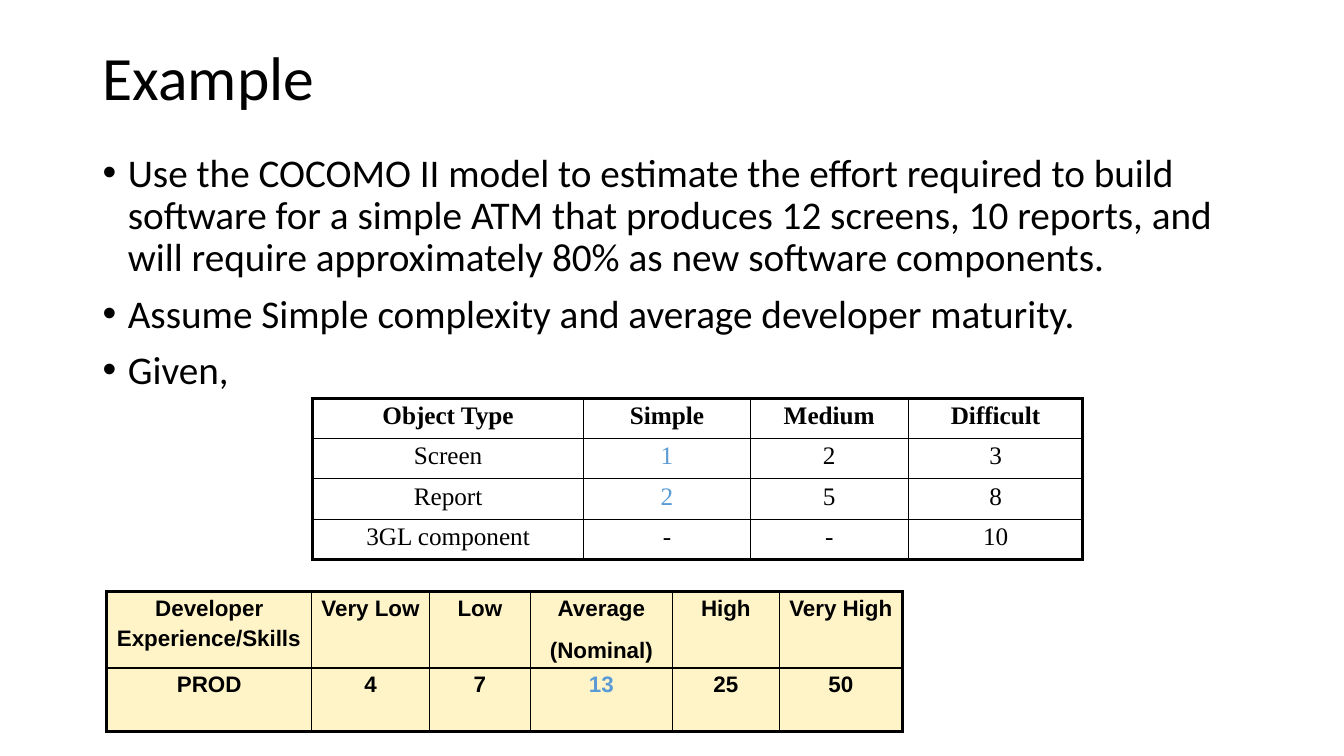
from dataclasses import dataclass

from lxml.etree import SubElement
from pptx import Presentation
from pptx.dml.color import RGBColor
from pptx.enum.text import MSO_ANCHOR, PP_ALIGN
from pptx.oxml import parse_xml
from pptx.oxml.ns import nsdecls, qn
from pptx.util import Inches, Pt


@dataclass(frozen=True)
class Theme:
    ink: str = "000000"
    accent: str = "5B9BD5"
    cream: str = "FFF4C8"
    body_font: str = "Calibri"
    title_size: float = 44
    body_size: float = 28
    outer_line: float = 2.25
    inner_line: float = 1


@dataclass(frozen=True)
class TableStyle:
    font: str
    size: float
    fill: str = ""
    top_inset: float = 0
    line_spacing: float = 1
    bold_rows: tuple = (0,)


class SlideBuilder:
    def __init__(self, prs, theme):
        self.theme = theme
        self.s = prs.slides.add_slide(prs.slide_layouts[6])

    def style(self, p, font, size, color, bold=False):
        p.font.name = font
        p.font.size = Pt(size)
        p.font.bold = bold
        p.font.color.rgb = RGBColor.from_string(color)

    def indent(self, p, left, first):
        pPr = p._p.get_or_add_pPr()
        pPr.set("marL", str(Inches(left)))
        pPr.set("indent", str(Inches(first)))
        return pPr

    def text(self, box, lines, size, bullets=False, anchor=MSO_ANCHOR.TOP):
        tf = self.s.shapes.add_textbox(*map(Inches, box)).text_frame
        tf.word_wrap = True
        tf.vertical_anchor = anchor
        for i, line in enumerate(lines):
            p = tf.add_paragraph() if i else tf.paragraphs[0]
            p.text = line
            p.line_spacing = 0.9
            p.space_before = Pt(10 if i else 0)
            self.style(p, self.theme.body_font, size, self.theme.ink)
            if bullets:
                self.bullet(p)

    def bullet(self, p):
        pPr = self.indent(p, 0.25, -0.25)
        defaults = pPr.find(qn("a:defRPr"))
        defaults.addprevious(parse_xml(f'<a:buFont {nsdecls("a")} typeface="Arial"/>'))
        defaults.addprevious(parse_xml(f'<a:buChar {nsdecls("a")} char="•"/>'))

    def borders(self, cell, outer):
        tcPr = cell._tc.get_or_add_tcPr()
        for i, side in enumerate("LRTB"):
            width = self.theme.outer_line if outer[side] else self.theme.inner_line
            ln = SubElement(tcPr, qn(f"a:ln{side}"), w=str(Pt(width)))
            fill = SubElement(ln, qn("a:solidFill"))
            SubElement(fill, qn("a:srgbClr"), val=self.theme.ink)
            tcPr.insert(i, ln)

    def table(self, left, top, widths, heights, rows, accents, style):
        size = (sum(widths), sum(heights))
        frame = self.s.shapes.add_table(
            len(rows), len(widths), *map(Inches, (left, top, *size)))
        tbl = frame.table
        tbl.first_row = tbl.horz_banding = False
        for column, width in zip(tbl.columns, widths):
            column.width = Inches(width)
        for row, height in zip(tbl.rows, heights):
            row.height = Inches(height)
        for r, values in enumerate(rows):
            for c, value in enumerate(values):
                cell = tbl.cell(r, c)
                cell.margin_left = cell.margin_right = cell.margin_bottom = 0
                cell.margin_top = Inches(style.top_inset)
                if style.fill:
                    cell.fill.solid()
                    cell.fill.fore_color.rgb = RGBColor.from_string(style.fill)
                else:
                    cell.fill.background()
                cell.text = value
                color = self.theme.accent if (r, c) in accents else self.theme.ink
                for p in cell.text_frame.paragraphs:
                    p.alignment = PP_ALIGN.CENTER
                    p.line_spacing = style.line_spacing
                    self.style(p, style.font, style.size, color, r in style.bold_rows)
                self.borders(cell, {"L": c == 0, "R": c == len(widths) - 1,
                                    "T": r == 0, "B": r == len(rows) - 1})
        return tbl


def main():
    prs = Presentation()
    prs.slide_width, prs.slide_height = Inches(13.33), Inches(7.5)
    theme = Theme()
    slide = SlideBuilder(prs, theme)

    slide.text((0.92, 0.4, 11.5, 0.8), ["Example"], theme.title_size,
               anchor=MSO_ANCHOR.MIDDLE)
    slide.text((0.92, 1.47, 11.5, 5.28), [
        "Use the COCOMO II model to estimate the effort required to build software "
        "for a simple ATM that produces 12 screens, 10 reports, and will require "
        "approximately 80% as new software components.",
        "Assume Simple complexity and average developer maturity.",
        "Given,",
    ], theme.body_size, bullets=True)

    slide.table(3.1, 3.95, [2.69, 1.65, 1.57, 1.73], [0.4] * 4, [
        ["Object Type", "Simple", "Medium", "Difficult"],
        ["Screen", "1", "2", "3"],
        ["Report", "2", "5", "8"],
        ["3GL component", "-", "-", "10"],
    ], {(1, 1), (2, 1)}, TableStyle("Times New Roman", 18, top_inset=0.04))

    productivity = slide.table(
        1.06, 5.87, [2.03, 1.17, 1, 1.41, 1.06, 1.22], [0.67, 0.63], [
            ["Developer Experience/Skills", "Very Low", "Low", "Average\n(Nominal)",
             "High", "Very High"],
            ["PROD", "4", "7", "13", "25", "50"],
        ], {(1, 3)},
        TableStyle("Arial", 16, theme.cream, line_spacing=1.17, bold_rows=(0, 1)))
    skills = productivity.cell(0, 0).text_frame.paragraphs[0]
    skills.alignment = PP_ALIGN.LEFT
    skills.line_spacing = 1.2
    slide.indent(skills, 0.1, 0.38)
    productivity.cell(0, 3).text_frame.paragraphs[1].space_before = Pt(9.6)

    prs.save("out.pptx")


if __name__ == "__main__":
    main()
